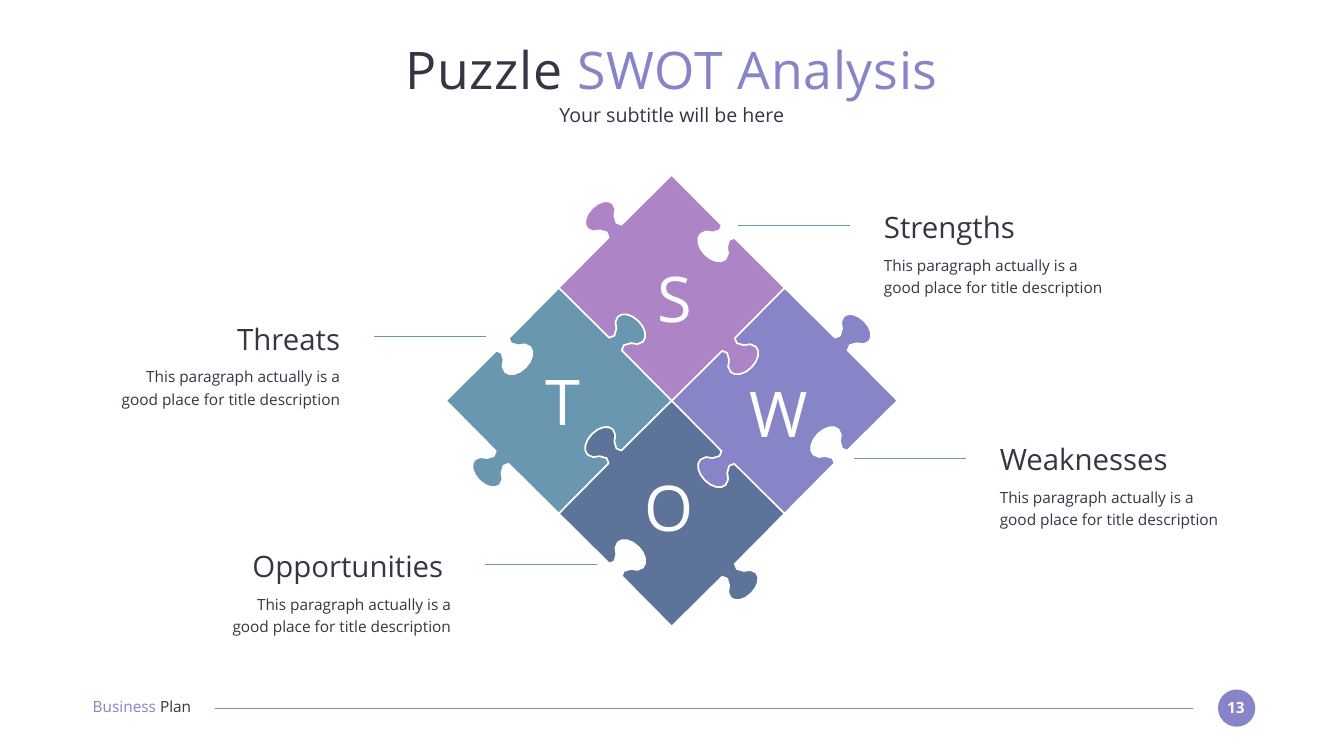
from math import dist

from lxml.etree import SubElement
from pptx import Presentation
from pptx.dml.color import RGBColor
from pptx.enum.shapes import MSO_CONNECTOR, MSO_SHAPE
from pptx.enum.text import MSO_ANCHOR, PP_ALIGN
from pptx.oxml.ns import qn
from pptx.util import Pt

EMU_PER_PX = 9144  # 100 px to the inch
FONT = "Open Sans"
DARK, WHITE = "373545", "FFFFFF"
VIOLET, TEAL, BLUE, PLUM = "8784C7", "6997AF", "5D739A", "AD84C6"
LEFT, CENTER, RIGHT = PP_ALIGN.LEFT, PP_ALIGN.CENTER, PP_ALIGN.RIGHT

CENTER_X, CENTER_Y = 1333, 795
HALF = 224  # from the centre of a piece to each corner
CHORD = 10  # approximate length of the straight steps along a curve

# Half of a notch on the upper left side, measured from the middle of that side.
# The other half mirrors it across the diagonal.
HALF_NOTCH = [
    (13, -12), (12, -10), (13, -6), (17, -2), (21, 2), (27, 3), (31, 2),
    (40, -1), (49, -1), (55, 5), (64, 14), (60, 32), (46, 46),
]

# step from the puzzle centre, colour, whether the upper left side has a tab
PIECES = [
    ((-1, 0), TEAL, False),
    ((0, 1), BLUE, True),
    ((1, 0), VIOLET, False),
    ((0, -1), PLUM, True),
]

# letter, left, top
LETTERS = [("W", 1440, 744), ("S", 1235, 514), ("T", 1012, 719), ("O", 1222, 930)]

# heading, left, top, alignment, height of the leader line
SECTIONS = [
    ("Threats", 221, 637, RIGHT, 668),
    ("Opportunities ", 441, 1088, RIGHT, 1120),
    ("Strengths", 1754, 415, LEFT, 448),
    ("Weaknesses", 1984, 876, LEFT, 910),
]
DESCRIPTION = "This paragraph actually is a good place for title description"
SECTION_WIDTH, LEADER_LENGTH = 454, 222


def px(value):
    return round(value * EMU_PER_PX)


def color(hex_value):
    return RGBColor.from_string(hex_value)


def add_text(slide, box, runs, size, align=LEFT, anchor=MSO_ANCHOR.TOP,
             bold=False, line_spacing=None, tracking=None):
    """Add one paragraph; runs is a list of (text, colour)."""
    frame = slide.shapes.add_textbox(*map(px, box)).text_frame
    frame_format = {
        "margin_left": 0, "margin_right": 0, "margin_top": 0, "margin_bottom": 0,
        "word_wrap": True, "vertical_anchor": anchor,
    }
    for name, value in frame_format.items():
        setattr(frame, name, value)
    paragraph = frame.paragraphs[0]
    paragraph.alignment = align
    paragraph.line_spacing = line_spacing
    for text, hex_value in runs:
        run = paragraph.add_run()
        run.text = text
        for name, value in {"name": FONT, "size": Pt(size), "bold": bold}.items():
            setattr(run.font, name, value)
        run.font.color.rgb = color(hex_value)
        if tracking:
            run._r.get_or_add_rPr().set("spc", str(tracking * 100))


def add_line(slide, left, right, y, hex_value):
    connector = slide.shapes.add_connector(
        MSO_CONNECTOR.STRAIGHT, px(left), px(y), px(right), px(y))
    connector.line.color.rgb = color(hex_value)
    connector.line.width = Pt(1.5)
    SubElement(connector._element.spPr, qn("a:effectLst"))


def curve_points(controls):
    """Sample a chain of cubic Bézier curves, with more steps on longer ones."""
    points = [controls[0]]
    for first in range(0, len(controls) - 1, 3):
        curve = controls[first:first + 4]
        steps = max(1, round(dist(curve[0], curve[3]) / CHORD))
        for step in range(1, steps + 1):
            t = step / steps
            weights = ((1 - t) ** 3, 3 * t * (1 - t) ** 2, 3 * t * t * (1 - t), t ** 3)
            points.append(tuple(
                sum(weight * point[axis] for weight, point in zip(weights, curve))
                for axis in (0, 1)))
    return points


def piece_outline(tab_first):
    """Outline around (0, 0), counterclockwise from the top corner."""
    mirrored = [(y, x) for x, y in reversed(HALF_NOTCH[:-1])]
    notch = curve_points(HALF_NOTCH + mirrored)
    tab = [(-y, -x) for x, y in notch]
    outline = []
    for quarter in range(4):
        profile = tab if tab_first == (quarter % 2 == 0) else notch
        side = [(0, -HALF)] + [(x - HALF / 2, y - HALF / 2) for x, y in profile]
        for _ in range(quarter):
            side = [(y, -x) for x, y in side]
        outline += side
    return outline


def add_piece(slide, step, hex_value, tab_first):
    center_x = CENTER_X + step[0] * HALF
    center_y = CENTER_Y + step[1] * HALF
    points = [(px(center_x + x), px(center_y + y)) for x, y in piece_outline(tab_first)]
    builder = slide.shapes.build_freeform(*points[0], scale=1.0)
    builder.add_line_segments(points[1:], close=True)
    shape = builder.convert_to_shape()
    shape.shadow.inherit = False
    shape.fill.solid()
    shape.fill.fore_color.rgb = color(hex_value)
    shape.line.color.rgb = color(WHITE)
    shape.line.width = Pt(2.25)


def add_section(slide, heading, left, top, align, leader_y):
    add_text(slide, (left, top, SECTION_WIDTH, 71), [(heading, DARK)], 42, align)
    add_text(slide, (left, top + 85, SECTION_WIDTH, 89), [(DESCRIPTION, DARK)], 22,
             align, line_spacing=1.2)
    leader_left = left + SECTION_WIDTH + 67 if align == RIGHT else left - 290
    add_line(slide, leader_left, leader_left + LEADER_LENGTH, leader_y, TEAL)


def add_footer(slide):
    badge = slide.shapes.add_shape(MSO_SHAPE.OVAL, *map(px, (2417, 1368, 74, 74)))
    badge.shadow.inherit = False
    badge.fill.solid()
    badge.fill.fore_color.rgb = color(VIOLET)
    badge.line.fill.background()
    add_text(slide, (2423, 1385, 59, 37), [("13", WHITE)], 22, CENTER, bold=True)
    add_line(slide, 427, 2367, 1405, VIOLET)
    add_text(slide, (184, 1384, 259, 37), [("Business ", VIOLET), ("Plan", DARK)], 22)


def main():
    presentation = Presentation()
    presentation.slide_width, presentation.slide_height = px(2667), px(1500)
    slide = presentation.slides.add_slide(presentation.slide_layouts[6])
    add_footer(slide)
    add_text(slide, (183, 73, 2300, 127), [("Puzzle ", DARK), ("SWOT Analysis", VIOLET)],
             74, CENTER, MSO_ANCHOR.MIDDLE, tracking=1)
    add_text(slide, (183, 203, 2300, 49), [("Your subtitle will be here", DARK)],
             28, CENTER, MSO_ANCHOR.MIDDLE)
    for piece in PIECES:
        add_piece(slide, *piece)
    for section in SECTIONS:
        add_section(slide, *section)
    for letter, left, top in LETTERS:
        add_text(slide, (left, top, 210, 151), [(letter, WHITE)], 90, CENTER)
    presentation.save("out.pptx")


if __name__ == "__main__":
    main()
